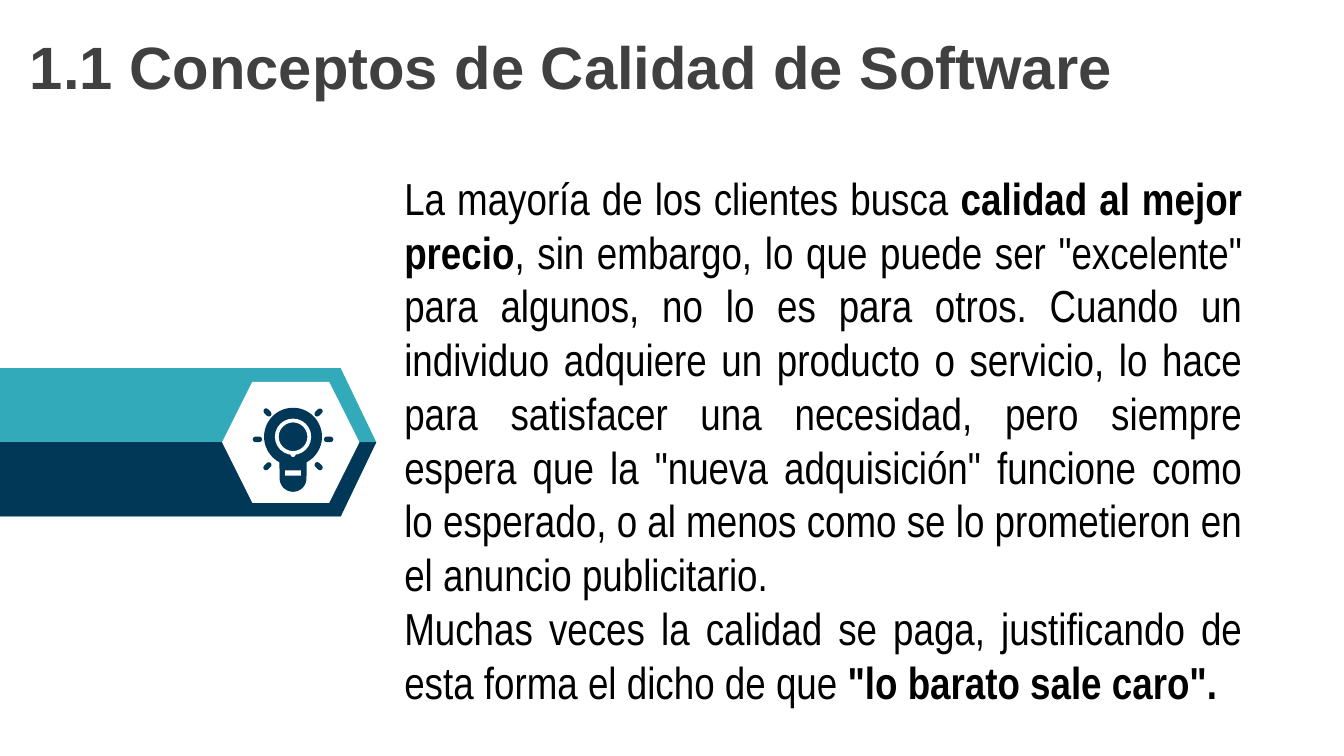
from dataclasses import dataclass
from math import cos, sin, radians
from pptx import Presentation
from pptx.dml.color import RGBColor
from pptx.enum.shapes import MSO_SHAPE
from pptx.enum.text import MSO_ANCHOR, MSO_AUTO_SIZE, PP_ALIGN
from pptx.util import Pt


@dataclass
class Theme:
    teal: str = "33AAB9"
    navy: str = "013857"
    white: str = "FFFFFF"
    grey: str = "404040"
    black: str = "000000"
    head: str = "Arial"
    body: str = "Arial Narrow"
    big: int = 32
    mid: int = 24


theme = Theme()


def paint(shape, color):
    shape.shadow.inherit = False
    shape.fill.solid()
    shape.fill.fore_color.rgb = RGBColor.from_string(color)
    shape.line.fill.background()
    return shape


def write(para, text, face, size, color, bold):
    run = para.add_run()
    run.text = text
    font = run.font
    font.name, font.size, font.bold = face, Pt(size), bold
    font.color.rgb = RGBColor.from_string(color)


deck = Presentation()
deck.slide_width, deck.slide_height = Pt(720), Pt(405)
slide = deck.slides.add_slide(deck.slide_layouts[5])

# Title
title = slide.shapes.title
title.left, title.top, title.width, title.height = Pt(0), Pt(0), Pt(720), Pt(70)
frame = title.text_frame
frame.auto_size = MSO_AUTO_SIZE.NONE
frame.vertical_anchor = MSO_ANCHOR.MIDDLE
para = frame.paragraphs[0]
para.alignment = PP_ALIGN.LEFT
write(para, " 1.1 Conceptos de Calidad de Software", theme.head, theme.big, theme.grey, True)

# Body text: each run with its bold flag
paras = [
    [("La mayoría de los clientes busca ", False),
     ("calidad al mejor precio", True),
     (', sin embargo, lo que puede ser "excelente" para algunos, no lo es para '
      "otros. Cuando un individuo adquiere un producto o servicio, lo hace para "
      'satisfacer una necesidad, pero siempre espera que la "nueva adquisición" '
      "funcione como lo esperado, o al menos como se lo prometieron en el anuncio "
      "publicitario. ", False)],
    [("Muchas veces la calidad se paga, justificando de esta forma el dicho de que ", False),
     ('"lo barato sale caro".', True)],
]
box = slide.shapes.add_textbox(Pt(209.5), Pt(87.8), Pt(463), Pt(298))
frame = box.text_frame
frame.word_wrap = True
frame.auto_size = MSO_AUTO_SIZE.SHAPE_TO_FIT_TEXT
for i, runs in enumerate(paras):
    para = frame.add_paragraph() if i else frame.paragraphs[0]
    para.alignment = PP_ALIGN.JUSTIFY
    for text, bold in runs:
        write(para, text, theme.body, theme.mid, theme.black, bold)

# Two-tone arrow band with a white hexagon
badge = slide.shapes.add_group_shape().shapes
band = paint(badge.add_shape(MSO_SHAPE.PENTAGON, Pt(0), Pt(197.2), Pt(201.6), Pt(79.4)), theme.teal)
band.adjustments[0] = 0.24
path = badge.build_freeform(Pt(0), Pt(236.9))
path.add_line_segments([(Pt(x), Pt(y)) for x, y in [(201.6, 236.9), (182.6, 276.6), (0, 276.6)]])
paint(path.convert_to_shape(), theme.navy)
paint(badge.add_shape(MSO_SHAPE.HEXAGON, Pt(119), Pt(204.6), Pt(73.6), Pt(64.8)), theme.white)

# Bulb: round glass, then round base, with a slot cut out
mid, top, foot = 157, 234, 256.3
arcs = [(top, 15.5, range(118, 423, 4)), (foot, 7.2, range(0, 181, 10))]
edge = [(Pt(mid + r * cos(radians(a))), Pt(y + r * sin(radians(a))))
        for y, r, turn in arcs for a in turn]
path = slide.shapes.build_freeform(*edge[0])
path.add_line_segments(edge[1:])
slot = [(Pt(mid + x), Pt(y)) for x, y in [(-4.3, 252), (4.3, 252), (4.3, 254.9), (-4.3, 254.9)]]
path.move_to(*slot[0])
path.add_line_segments(slot[1:])
paint(path.convert_to_shape(), theme.navy)

# Rays: offset from the centre, and turn
wide, high = 5, 2.9
for x, y, turn in [(-19.1, 0, 0), (19.1, 0, 0), (-13.7, -14.4, 45),
                   (13.7, 14.4, 45), (13.7, -14.4, -45), (-13.7, 14.4, -45)]:
    ray = paint(slide.shapes.add_shape(
        MSO_SHAPE.ROUNDED_RECTANGLE, Pt(mid + x - wide / 2), Pt(235.4 + y - high / 2),
        Pt(wide), Pt(high)), theme.navy)
    ray.adjustments[0] = 0.5
    ray.rotation = turn

# Tip below the ring, then the ring itself
paint(slide.shapes.add_shape(MSO_SHAPE.OVAL, Pt(mid - 1.4), Pt(242), Pt(2.8), Pt(2.8)), theme.white)
ring = paint(slide.shapes.add_shape(
    MSO_SHAPE.OVAL, Pt(mid - 8.7), Pt(top - 8.7), Pt(17.4), Pt(17.4)), theme.navy)
ring.line.color.rgb = RGBColor.from_string(theme.white)
ring.line.width = Pt(2)

deck.save("out.pptx")
